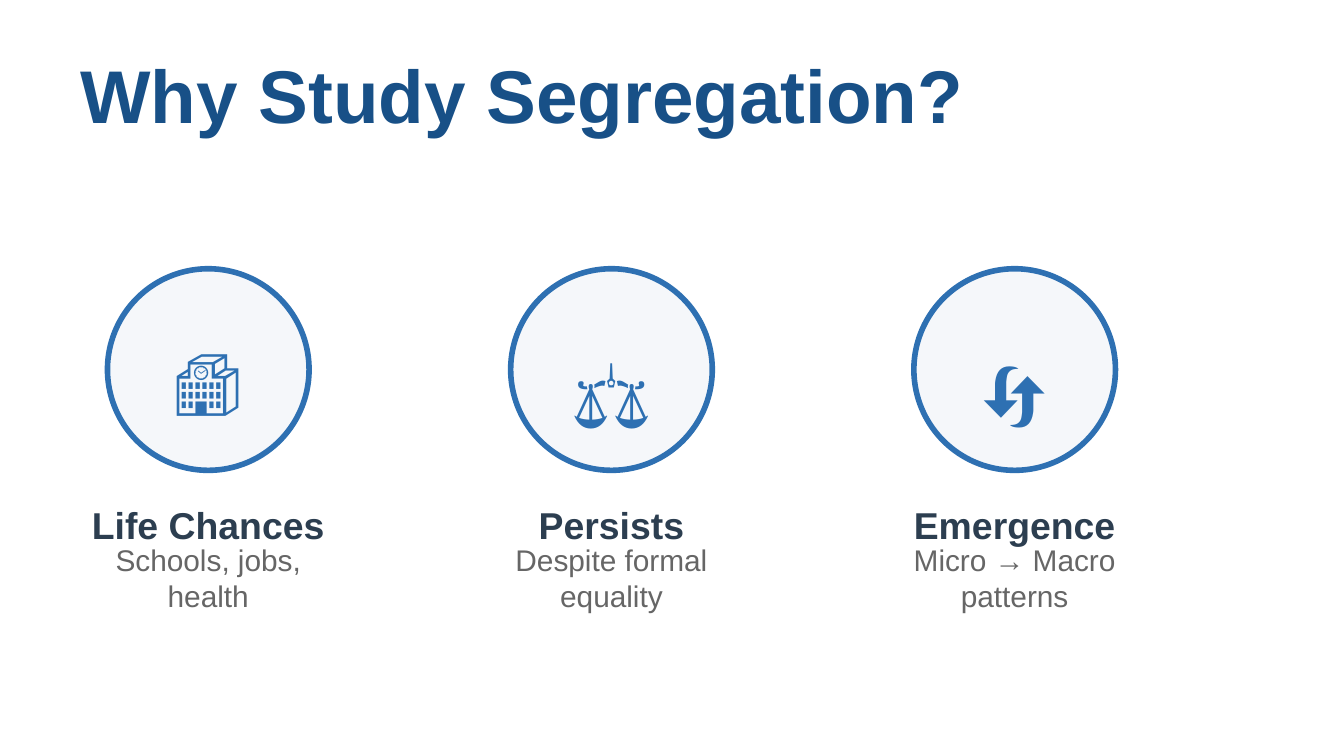
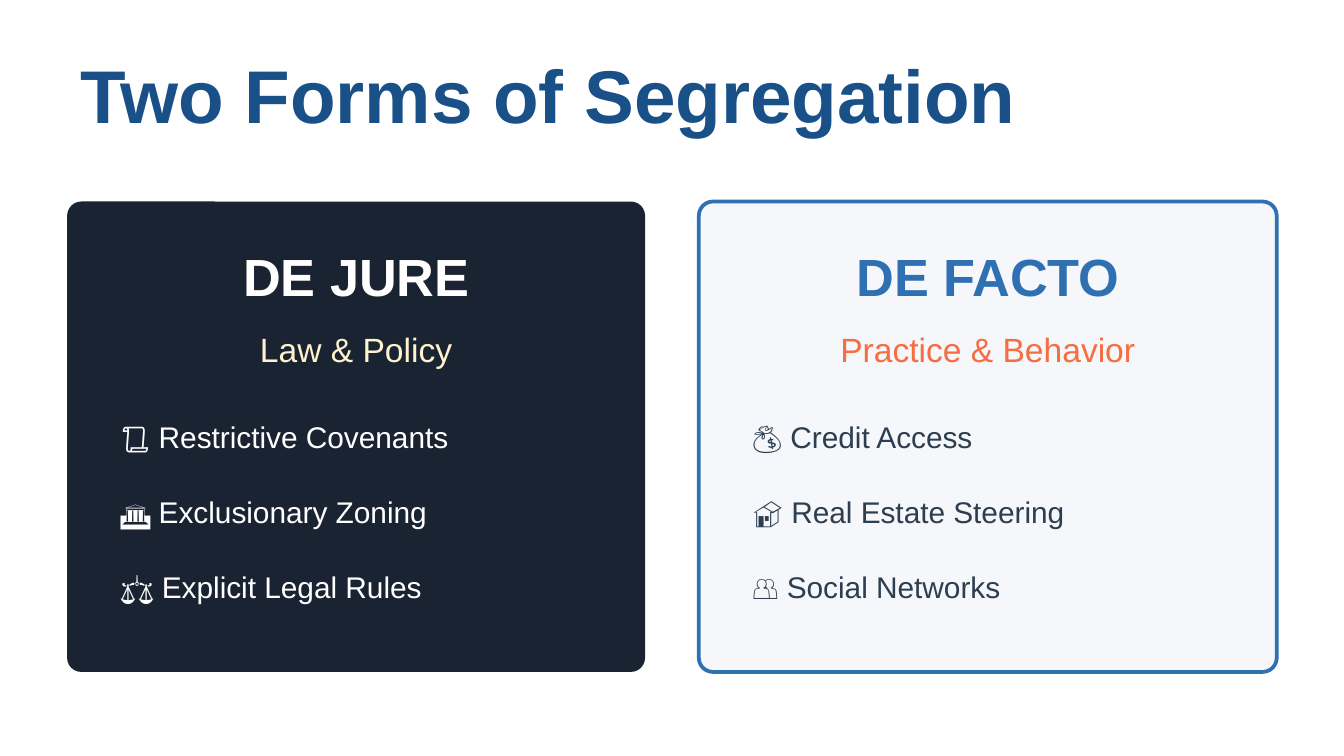
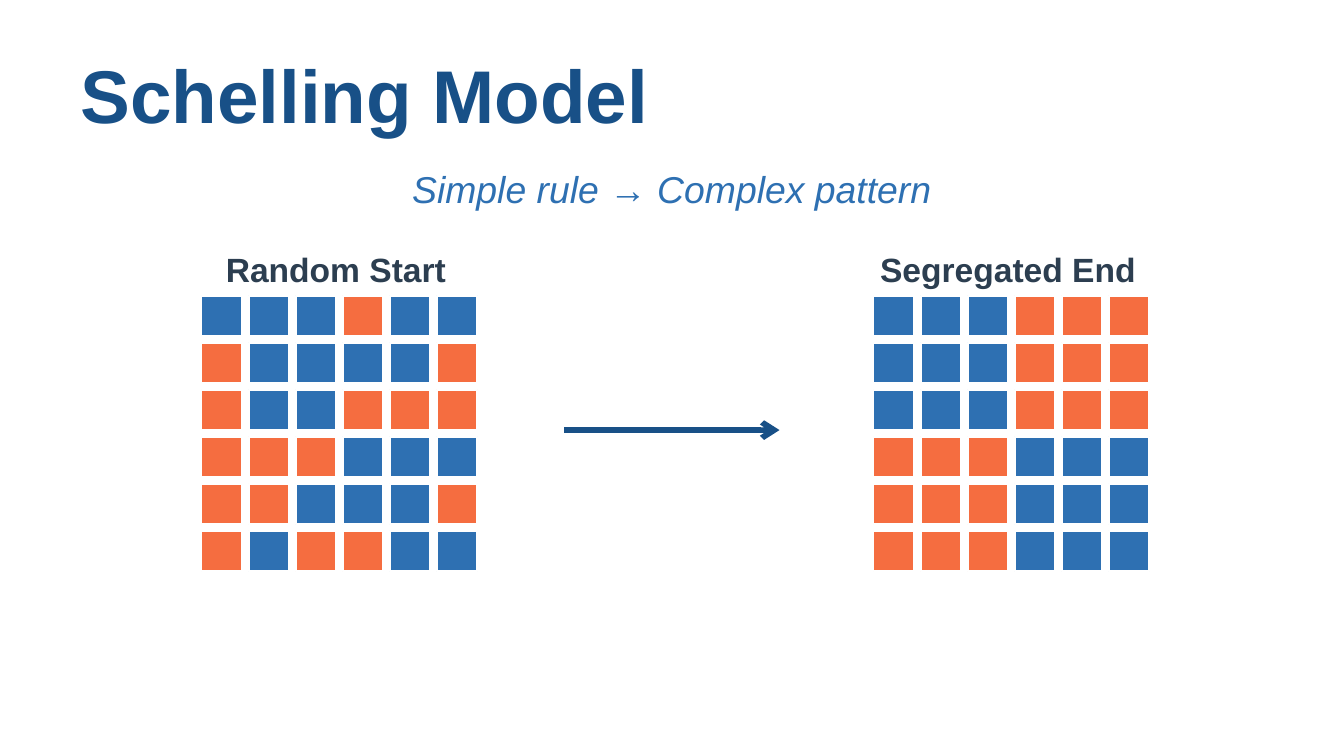
from lxml import etree
from pptx import Presentation
from pptx.dml.color import RGBColor
from pptx.enum.shapes import MSO_CONNECTOR, MSO_SHAPE
from pptx.enum.text import MSO_ANCHOR, PP_ALIGN
from pptx.oxml.ns import qn
from pptx.util import Inches, Pt

LEFT, CENTER = PP_ALIGN.LEFT, PP_ALIGN.CENTER
MIDDLE = MSO_ANCHOR.MIDDLE
OVAL, RECTANGLE = MSO_SHAPE.OVAL, MSO_SHAPE.RECTANGLE
ROUNDED = MSO_SHAPE.ROUNDED_RECTANGLE
STRAIGHT = MSO_CONNECTOR.STRAIGHT

FONT = "Arial"
NAVY = "185087"
BLUE = "2E70B2"
ORANGE = "F56D40"
SLATE = "2C3E50"
GRAY = "666666"
PALE = "F5F7FA"
DARK = "1A2332"
CREAM = "FFF3CD"
WHITE = "FFFFFF"

rgb = RGBColor.from_string


def add_text(slide, lines, left, top, width, height, size, color,
             bold=False, italic=False, align=CENTER, line_spacing=None, gap=0):
    """Add a vertically centred text box with one paragraph per line, gap points apart."""
    box = slide.shapes.add_textbox(Inches(left), Inches(top), Inches(width), Inches(height))
    frame = box.text_frame
    frame.word_wrap = True
    frame.vertical_anchor = MIDDLE
    for index, line in enumerate(lines):
        paragraph = frame.add_paragraph() if index else frame.paragraphs[0]
        paragraph.alignment = align
        if line_spacing:
            paragraph.line_spacing = Pt(line_spacing)
        if index:
            paragraph.space_before = Pt(gap)
        run = paragraph.add_run()
        run.text = line
        run.font.name = FONT
        run.font.size = Pt(size)
        run.font.bold = bold
        run.font.italic = italic
        run.font.color.rgb = rgb(color)


def add_filled_shape(slide, kind, left, top, width, height, fill, line=None, line_width=1):
    shape = slide.shapes.add_shape(kind, Inches(left), Inches(top), Inches(width), Inches(height))
    shape.shadow.inherit = False
    shape.fill.solid()
    shape.fill.fore_color.rgb = rgb(fill)
    if line:
        shape.line.color.rgb = rgb(line)
        shape.line.width = Pt(line_width)
    else:
        shape.line.fill.background()
    return shape


presentation = Presentation()
presentation.slide_width = Inches(10)
presentation.slide_height = Inches(10) * 9 // 16

slides = []
for title in ("Why Study Segregation?", "Two Forms of Segregation", "Schelling Model"):
    slide = presentation.slides.add_slide(presentation.slide_layouts[6])
    add_text(slide, [title], 0.5, 0.3, 9, 0.8, 40, NAVY, bold=True, align=LEFT)
    slides.append(slide)
reasons_slide, forms_slide, model_slide = slides

# Reasons: three icons in circles with captions
reasons = [
    ("🏫", 2.46, "Life Chances", "Schools, jobs, health"),
    ("⚖️", 2.54, "Persists", "Despite formal equality"),
    ("🔄", 2.55, "Emergence", "Micro → Macro patterns"),
]
for column, (icon, icon_top, heading, detail) in enumerate(reasons):
    left = 0.8 + 3 * column
    add_filled_shape(reasons_slide, OVAL, left, 2, 1.5, 1.5, PALE, BLUE, 3)
    add_text(reasons_slide, [icon], left, icon_top, 1.5, 0.7, 36, BLUE)
    add_text(reasons_slide, [heading], left - 0.25, 3.7, 2, 0.4, 20, SLATE, bold=True)
    add_text(reasons_slide, [detail], left - 0.25, 4.1, 2, 0.4, 16, GRAY)

# Forms: two panels side by side
forms = [
    (0.5, DARK, None, "DE JURE", WHITE, "Law & Policy", CREAM, WHITE,
     ["📜 Restrictive Covenants", "🏛️ Exclusionary Zoning", "⚖️ Explicit Legal Rules"]),
    (5.2, PALE, BLUE, "DE FACTO", BLUE, "Practice & Behavior", ORANGE, SLATE,
     ["💰 Credit Access", "🏠 Real Estate Steering", "👥 Social Networks"]),
]
for left, fill, border, name, name_color, basis, basis_color, item_color, items in forms:
    panel = add_filled_shape(forms_slide, ROUNDED, left, 1.5, 4.3, 3.5, fill, border, 2)
    panel.adjustments[0] = 0.03
    add_text(forms_slide, [name], left, 1.8, 4.3, 0.5, 28, name_color, bold=True)
    add_text(forms_slide, [basis], left, 2.4, 4.3, 0.4, 18, basis_color)
    add_text(forms_slide, items, left + 0.3, 3, 3.7, 1.6, 16, item_color,
             align=LEFT, line_spacing=20, gap=20)

# Model: neighbourhood grids before and after, B for blue and O for orange
add_text(model_slide, ["Simple rule → Complex pattern"], 0.5, 1.2, 9, 0.4, 20, BLUE, italic=True)
cell_colors = {"B": BLUE, "O": ORANGE}
grids = [
    (1, "Random Start", ["BBBOBB", "OBBBBO", "OBBOOO", "OOOBBB", "OOBBBO", "OBOOBB"]),
    (6, "Segregated End", ["BBBOOO"] * 3 + ["OOOBBB"] * 3),
]
for left, label, rows in grids:
    add_text(model_slide, [label], left, 1.8, 3, 0.4, 18, SLATE, bold=True)
    for row, cells in enumerate(rows):
        for column, cell in enumerate(cells):
            add_filled_shape(model_slide, RECTANGLE, left + 0.5 + 0.35 * column,
                             2.2 + 0.35 * row, 0.3, 0.3, cell_colors[cell], WHITE)

arrow = model_slide.shapes.add_connector(STRAIGHT, Inches(4.2), Inches(3.2), Inches(5.8), Inches(3.2))
arrow.line.color.rgb = rgb(NAVY)
arrow.line.width = Pt(3)
arrow_line = arrow._element.spPr.find(qn("a:ln"))
etree.SubElement(arrow_line, qn("a:tailEnd"), type="arrow")
etree.SubElement(arrow._element.spPr, qn("a:effectLst"))

presentation.save("out.pptx")
